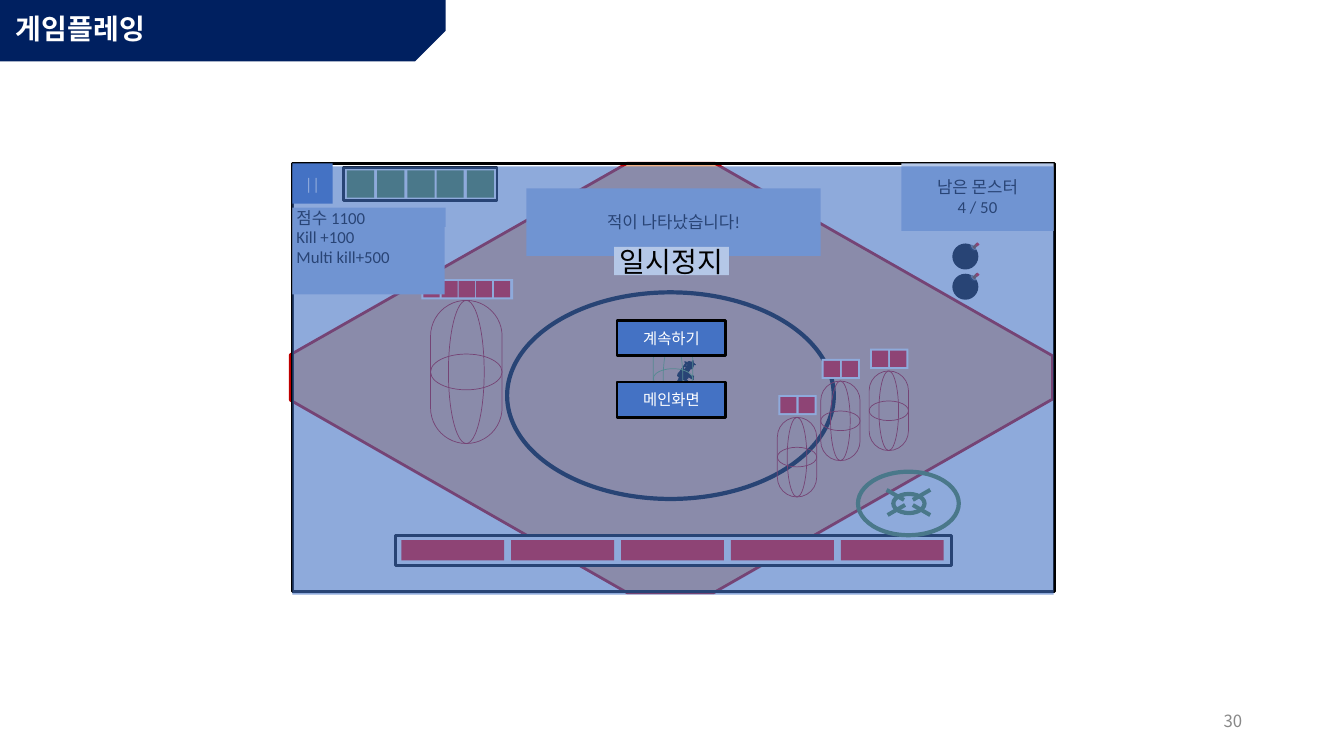
import pptx
import pptx.dml.color
import pptx.enum.dml
import pptx.enum.shapes
import pptx.enum.text
import pptx.oxml
import pptx.oxml.ns
import pptx.util

PX = 9144  # EMU per px: 100 px to the inch
SHAPE = pptx.enum.shapes.MSO_SHAPE
ALIGN = pptx.enum.text.PP_ALIGN
ANCHOR = pptx.enum.text.MSO_ANCHOR

THEME = {
    "navy": "002060", "white": "FFFFFF", "black": "000000", "grey": "888888",
    "blue": "4472C4", "pale": "B4C7E7", "sand": "F4B183", "crimson": "C00000",
    "red": "FF0000", "player": "70AD47", "green": "548235",
    "cap": "11151A", "cap_top": "808080", "fuse": "C55A11", "fuse_dark": "843C0B",
    "latin": "Calibri", "korean": "Noto Sans CJK KR",
    "heading": 20, "body": 12, "button": 11,
}

ARENA = [(622, 162), (709, 162), (1044, 353), (1044, 396),
         (708, 588), (622, 588), (288, 397), (288, 352)]
GUN = [
    [(685, 378), (686, 377), (683, 374), (683, 371), (687, 369), (688, 370),
     (692, 367), (693, 368), (692, 365), (693, 363), (691, 364), (689, 362),
     (687, 362), (685, 360), (685, 362), (675, 367), (674, 367), (672, 369),
     (673, 371), (672, 372), (666, 376), (669, 382), (671, 382), (670, 380),
     (672, 377), (675, 375), (676, 376), (677, 380), (679, 380), (678, 376),
     (680, 376), (681, 375), (684, 380)],
    [(669, 378), (667, 376), (671, 374), (672, 376), (670, 379)],
    [(679, 368), (682, 364), (684, 365), (685, 363), (687, 364)],
]


def rgb(name):
    return pptx.dml.color.RGBColor.from_string(THEME[name])


def paint(shape, fill=None, line=None, weight=2):
    shape.shadow.inherit = False
    if fill:
        shape.fill.solid()
        shape.fill.fore_color.rgb = rgb(fill)
    else:
        shape.fill.background()
    if line:
        shape.line.color.rgb = rgb(line)
        shape.line.width = pptx.util.Pt(weight)
    else:
        shape.line.fill.background()
    return shape


def add_part(slide, kind, box, fill=None, line=None, weight=2, rotation=0):
    part = slide.shapes.add_shape(kind, *(round(side * PX) for side in box))
    part.rotation = rotation
    return paint(part, fill, line, weight)


def add_outline(slide, contours, fill, line, weight):
    builder = slide.shapes.build_freeform(*contours[0][0], scale=PX)
    for contour in contours:
        if contour is not contours[0]:
            builder.move_to(*contour[0])
        builder.add_line_segments(contour[1:], close=True)
    return paint(builder.convert_to_shape(), fill, line, weight)


def write(shape, lines, size="body", colour="black", latin="latin", bold=False,
          align=ALIGN.CENTER, anchor=ANCHOR.MIDDLE, margins=(10, 5), spacing=None):
    frame = shape.text_frame
    side, top = (margin * PX for margin in margins)
    frame_format = {"word_wrap": True, "vertical_anchor": anchor,
                    "margin_left": side, "margin_right": side,
                    "margin_top": top, "margin_bottom": top}
    for attribute, value in frame_format.items():
        setattr(frame, attribute, value)
    font_format = {"size": pptx.util.Pt(THEME[size]), "bold": bold,
                   "name": THEME[latin]}
    for index, line in enumerate(lines):
        paragraph = frame.add_paragraph() if index else frame.paragraphs[0]
        paragraph.alignment = align
        paragraph.line_spacing = spacing
        run = paragraph.add_run()
        run.text = line
        for attribute, value in font_format.items():
            setattr(run.font, attribute, value)
        run.font.color.rgb = rgb(colour)
        east_asian = pptx.oxml.parse_xml(
            f'<a:ea {pptx.oxml.ns.nsdecls("a")} typeface="{THEME["korean"]}"/>')
        run._r.get_or_add_rPr().append(east_asian)


def add_label(slide, box, lines, fill="pale", line=None, **text_format):
    write(add_part(slide, SHAPE.RECTANGLE, box, fill, line), lines, **text_format)


def add_text(slide, box, lines, **text_format):
    write(slide.shapes.add_textbox(*(side * PX for side in box)), lines, **text_format)


def add_cells(slide, first, last, top, count, size, fill):
    """Space cells evenly between the left edges first and last."""
    for index in range(count):
        left = round(first + (last - first) * index / (count - 1))
        add_part(slide, SHAPE.RECTANGLE, (left, top, *size), fill)


def add_health(slide, left, top, count):
    add_part(slide, SHAPE.RECTANGLE, (left, top, round(17.5 * count) + 3, 20), "white")
    last = left + 2 + round(17.5 * (count - 1))
    add_cells(slide, left + 2, last, top + 2, count, (16, 16), "red")


def add_capsule(slide, left, top, width, height, colour):
    body = add_part(slide, SHAPE.ROUNDED_RECTANGLE, (left, top, width, height),
                    line=colour, weight=0.5)
    body.adjustments[0] = 0.5
    half = width / 2
    for oval in ((left + width / 4, top, half, height),
                 (left, top + height / 2 - half / 2, width, half)):
        add_part(slide, SHAPE.OVAL, oval, line=colour, weight=0.5)


def add_bomb(slide, top):
    add_part(slide, SHAPE.OVAL, (946, top, 23, 23), "black", "black")
    add_part(slide, SHAPE.OVAL, (961, top + 1, 7, 4), "cap", rotation=45)
    add_part(slide, SHAPE.OVAL, (962, top + 1, 7, 3), "cap_top", rotation=45)
    fuse = add_part(slide, SHAPE.RECTANGLE, (966, top - 2, 3, 6), "fuse", rotation=45)
    fuse.fill.patterned()
    fuse.fill.pattern = pptx.enum.dml.MSO_PATTERN.WIDE_DOWNWARD_DIAGONAL
    fuse.fill.fore_color.rgb = rgb("fuse")
    fuse.fill.back_color.rgb = rgb("fuse_dark")
    add_part(slide, SHAPE.RECTANGLE, (968, top - 2, 3, 3), "red", rotation=45)


def add_aim(slide):
    for oval in ((851, 468, 100, 63), (886, 490, 31, 19)):
        add_part(slide, SHAPE.OVAL, oval, line="green", weight=3)
    for left, top, turn in ((886, 481, 300), (887, 496, 60),
                            (912, 481, 60), (912, 496, 300)):
        add_part(slide, SHAPE.RECTANGLE, (left, top, 4, 20), "green", rotation=turn)


def add_header(slide):
    banner = add_part(slide, SHAPE.SNIP_1_RECTANGLE, (0, 0, 442, 61), "navy", rotation=180)
    banner.adjustments[0] = 0.5
    banner._element.spPr.get_or_add_xfrm().set("flipH", "1")
    add_text(slide, (942, 695, 300, 40), ["30"], colour="grey", latin="korean",
             align=ALIGN.RIGHT)
    add_text(slide, (6, 7, 403, 46), ["게임플레잉"], size="heading", colour="white",
             latin="korean", bold=True, align=ALIGN.LEFT, spacing=0.9)


def add_game(slide):
    add_outline(slide, [ARENA], "sand", "crimson", 2)
    add_part(slide, SHAPE.OVAL, (503, 290, 324, 205), line="black", weight=3)
    add_part(slide, SHAPE.RECTANGLE, (290, 162, 756, 425), line="black")
    add_outline(slide, GUN, "black", "black", 0.5).rotation = 331.3
    add_capsule(slide, 648, 336, 39, 79, "player")

    add_label(slide, (894, 162, 151, 67), ["남은 몬스터", "4 / 50"])
    add_label(slide, (290, 162, 40, 40), ["||"], "blue", colour="white", margins=(0, 0))
    add_label(slide, (522, 187, 292, 67), ["적이 나타났습니다!"])
    add_part(slide, SHAPE.RECTANGLE, (341, 166, 152, 33), "white", "black")
    add_cells(slide, 344, 463, 169, 5, (27, 27), "green")

    for left, top in ((814, 378), (862, 368), (771, 414)):
        add_capsule(slide, left, top, 39, 79, "crimson")
        add_health(slide, left + 1, top - 22, 2)
    add_capsule(slide, 427, 298, 71, 142, "crimson")
    add_health(slide, 418, 277, 5)
    add_part(slide, SHAPE.RECTANGLE, (392, 531, 552, 30), "white", "black")
    add_cells(slide, 398, 834, 536, 5, (102, 20), "red")

    for top in (273, 243):
        add_bomb(slide, top)
    add_aim(slide)
    score_format = {"align": ALIGN.LEFT, "anchor": ANCHOR.TOP, "margins": (4, 0)}
    add_label(slide, (290, 206, 152, 19), ["점수 1100"], **score_format)
    add_label(slide, (290, 225, 151, 67), ["Kill +100", "Multi kill+500"], **score_format)


def add_pause_menu(slide):
    veil = add_part(slide, SHAPE.RECTANGLE, (290, 165, 755, 425), "blue")
    veil_colour = veil._element.spPr.find(".//" + pptx.oxml.ns.qn("a:srgbClr"))
    veil_colour.append(pptx.oxml.parse_xml(
        f'<a:alpha {pptx.oxml.ns.nsdecls("a")} val="60000"/>'))
    add_label(slide, (609, 245, 114, 28), ["일시정지"], size="heading", margins=(0, 0))
    for top, caption in ((318, "계속하기"), (379, "메인화면")):
        add_label(slide, (612, top, 108, 35), [caption], "blue", "black",
                  size="button", colour="white", margins=(0, 0))


def main():
    deck = pptx.Presentation()
    deck.slide_width, deck.slide_height = 1333 * PX, 750 * PX
    slide = deck.slides.add_slide(deck.slide_layouts[6])
    add_header(slide)
    add_game(slide)
    add_pause_menu(slide)
    deck.save("out.pptx")


if __name__ == "__main__":
    main()
